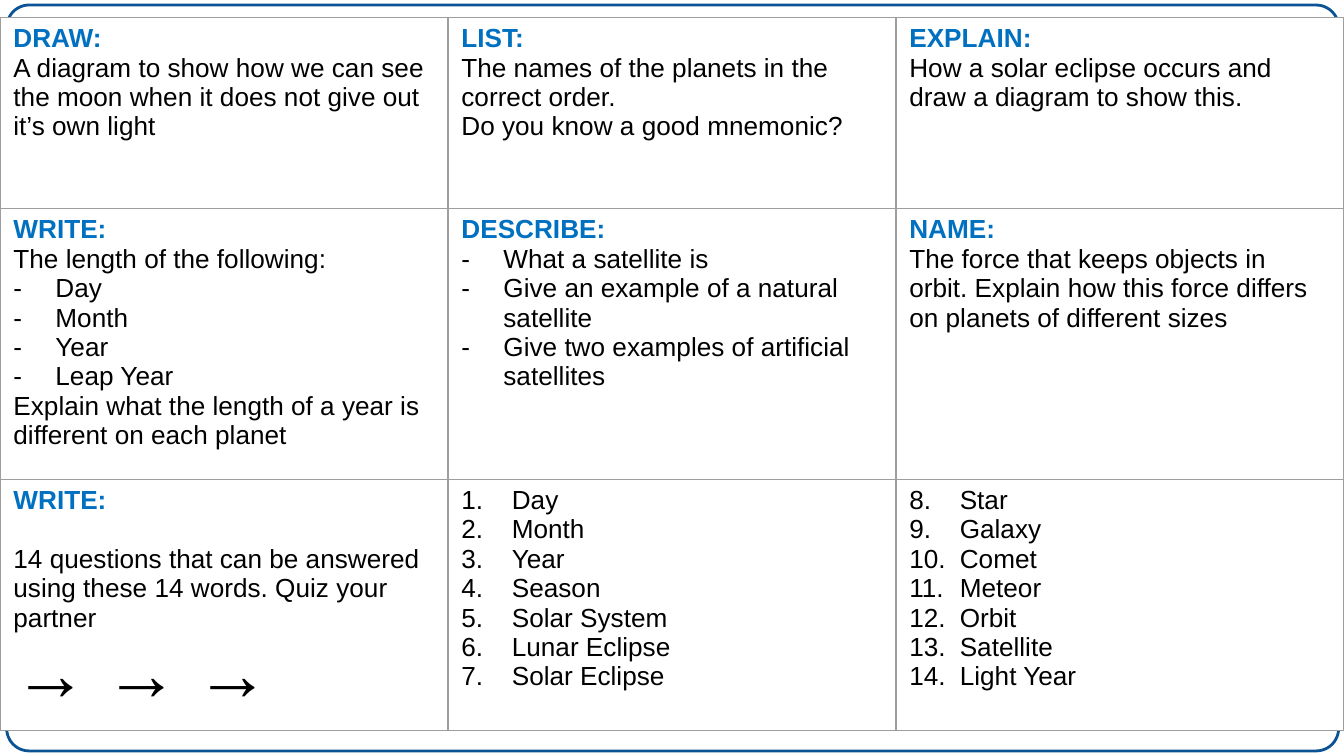
"""Build a three-by-three grid of space revision tasks."""
from lxml import etree
from pptx import Presentation
from pptx.dml.color import RGBColor
from pptx.enum import shapes
from pptx.oxml import ns
from pptx.util import Pt

BORDER, FRAME, HEADING, INK, PAPER = "9E9E9E", "0B5394", "0070C0", "000000", "FFFFFF"


def paint(color, value):
    color.rgb = RGBColor.from_string(value)


def add_child(parent, tag, **attributes):
    child = etree.SubElement(parent, ns.qn(tag))
    for name, value in attributes.items():
        child.set(name, str(value))
    return child


# Each cell: heading, then (kind, text) lines; a number as kind starts a numbered list.
cells = [
    [("DRAW:", [("plain", "A diagram to show how we can see the moon when it does not give out it’s own light")]),
     ("LIST:", [("plain", "The names of the planets in the correct order."),
                ("plain", "Do you know a good mnemonic?")]),
     ("EXPLAIN:", [("plain", "How a solar eclipse occurs and draw a diagram to show this.")])],
    [("WRITE:", [("plain", "The length of the following:"),
                 ("dash", "Day"), ("dash", "Month"), ("dash", "Year"), ("dash", "Leap Year"),
                 ("plain", "Explain what the length of a year is different on each planet")]),
     ("DESCRIBE:", [("dash", "What a satellite is"),
                    ("dash", "Give an example of a natural satellite"),
                    ("dash", "Give two examples of artificial satellites")]),
     ("NAME:", [("plain", "The force that keeps objects in orbit. "
                          "Explain how this force differs on planets of different sizes")])],
    [("WRITE:", [("spaced", "14 questions that can be answered using these 14 words. Quiz your partner"),
                 ("arrows", "→ → →")]),
     (None, [(1, word) for word in ("Day", "Month", "Year", "Season", "Solar System",
                                    "Lunar Eclipse", "Solar Eclipse")]),
     (None, [(8, word) for word in ("Star", "Galaxy", "Comet", "Meteor", "Orbit",
                                    "Satellite", "Light Year")])],
]

deck = Presentation()
deck.slide_width, deck.slide_height = Pt(720), Pt(405)
page = deck.slides.add_slide(deck.slide_layouts[6])

frame = page.shapes.add_shape(shapes.MSO_SHAPE.ROUNDED_RECTANGLE, Pt(3.6), Pt(2.7), Pt(713.5), Pt(399.6))
frame.adjustments[0] = 0.03
frame.shadow.inherit = False
frame.fill.background()
paint(frame.line.color, FRAME)
frame.line.width = Pt(1.5)

heights = [102.5, 145, 134.5]
holder = page.shapes.add_table(3, 3, Pt(0), Pt(9.2), Pt(720), Pt(sum(heights)))
table = holder.table
table.first_row = table.horz_banding = False
for column in table.columns:
    column.width = Pt(240)

for row, height, tasks in zip(table.rows, heights, cells):
    row.height = Pt(height)
    for cell, (heading, lines) in zip(row.cells, tasks):
        properties = cell._tc.get_or_add_tcPr()
        for side in ("a:lnL", "a:lnR", "a:lnT", "a:lnB"):
            edge = add_child(properties, side, w=Pt(0.75))
            add_child(add_child(edge, "a:solidFill"), "a:srgbClr", val=BORDER)
        cell.fill.solid()
        paint(cell.fill.fore_color, PAPER)

        entries = ([("heading", heading)] if heading else []) + lines
        for index, (kind, words) in enumerate(entries):
            para = cell.text_frame.paragraphs[0] if index == 0 else cell.text_frame.add_paragraph()
            if kind == "spaced":
                para.space_before = Pt(15.7)
            if kind == "dash" or isinstance(kind, int):
                indent = Pt(22.5 if kind == "dash" else 27)
                layout = para._p.get_or_add_pPr()
                layout.set("marL", str(indent))
                layout.set("indent", str(-indent))
                add_child(add_child(layout, "a:buClr"), "a:srgbClr", val=INK)
                add_child(layout, "a:buFont", typeface="Arial")
                if kind == "dash":
                    add_child(layout, "a:buChar", char="-")
                else:
                    add_child(layout, "a:buAutoNum", type="arabicPeriod", startAt=kind)
            para.font.name = "Arial"
            para.font.size = Pt(14)
            para.font.bold = kind == "heading"
            paint(para.font.color, HEADING if kind == "heading" else INK)
            for piece in words if kind == "arrows" else [words]:
                span = para.add_run()
                span.text = piece
                if kind == "arrows":
                    span.font.size = Pt(40 if piece == "→" else 32)

deck.save("out.pptx")
